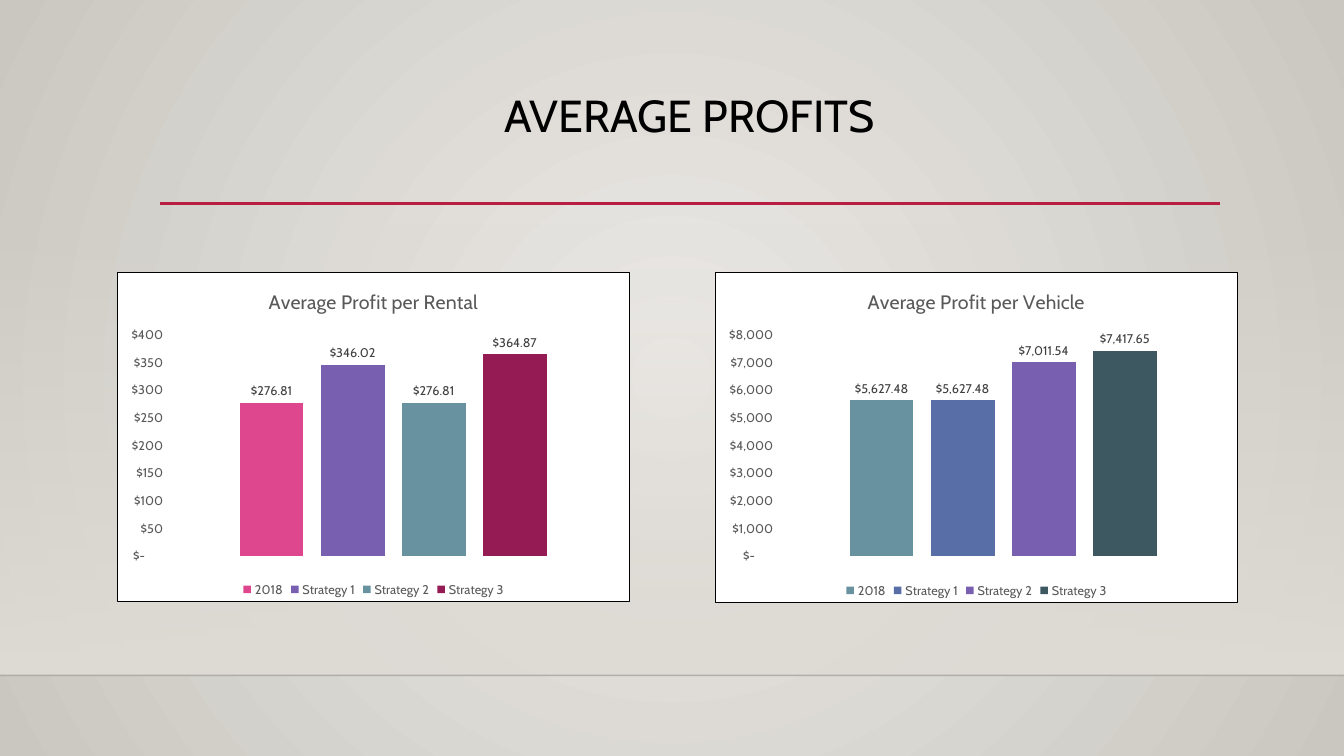
from dataclasses import dataclass

from lxml import etree
from pptx import Presentation
from pptx.chart.chart import Chart
from pptx.chart.data import CategoryChartData
from pptx.dml.color import RGBColor
from pptx.dml.fill import FillFormat
from pptx.enum.chart import XL_CHART_TYPE, XL_LABEL_POSITION, XL_LEGEND_POSITION, XL_TICK_MARK
from pptx.enum.shapes import MSO_CONNECTOR, MSO_SHAPE
from pptx.enum.text import MSO_ANCHOR, MSO_AUTO_SIZE, PP_ALIGN
from pptx.oxml import parse_xml
from pptx.oxml.ns import nsdecls, qn
from pptx.shapes.connector import Connector
from pptx.slide import Slide
from pptx.text.text import Font
from pptx.util import Inches, Pt

COLUMNS = XL_CHART_TYPE.COLUMN_CLUSTERED
OUTSIDE_END = XL_LABEL_POSITION.OUTSIDE_END
LEGEND_BOTTOM = XL_LEGEND_POSITION.BOTTOM
NO_TICK = XL_TICK_MARK.NONE
STRAIGHT = MSO_CONNECTOR.STRAIGHT
RECTANGLE = MSO_SHAPE.RECTANGLE
ANCHOR_TOP = MSO_ANCHOR.TOP
NO_AUTOFIT = MSO_AUTO_SIZE.NONE
CENTER = PP_ALIGN.CENTER

BLACK = RGBColor(0x00, 0x00, 0x00)
FLOOR_LINE = RGBColor(0x00, 0x00, 0x01)
LABEL_GRAY = RGBColor(0x40, 0x40, 0x40)
AXIS_GRAY = RGBColor(0x59, 0x59, 0x59)
BACK_LIGHT = RGBColor(0xEC, 0xEA, 0xE7)
BACK_DARK = RGBColor(0xCA, 0xC7, 0xC1)
WALL = RGBColor(0xDF, 0xDB, 0xD5)
CRIMSON = RGBColor(0xB7, 0x1E, 0x42)
PINK = RGBColor(0xDE, 0x47, 0x8E)
PURPLE = RGBColor(0x79, 0x5F, 0xAF)
TEAL = RGBColor(0x68, 0x92, 0xA0)
BERRY = RGBColor(0x95, 0x1B, 0x54)
BLUE = RGBColor(0x58, 0x6E, 0xA6)
SLATE = RGBColor(0x3D, 0x58, 0x61)

FONT = "Cabin"
SLIDE_WIDTH, SLIDE_HEIGHT = 13.33, 7.5
FLOOR_TOP = 6.7
STRATEGIES = ("2018", "Strategy 1", "Strategy 2", "Strategy 3")
AXIS_FORMAT = r'_("$"* #,##0_);_("$"* \(#,##0\);_("$"* "-"??_);_(@_)'
LABEL_FORMAT = r'_("$"* #,##0.00_);_("$"* \(#,##0.00\);_("$"* "-"??_);_(@_)'


@dataclass
class ProfitChart:
    """One column chart, with lengths in inches."""
    title: str
    left: float
    width: float
    height: float
    plot_left: float
    axis_top: int
    axis_step: int
    profits: tuple[float, ...]
    colors: tuple[RGBColor, ...]


CHARTS = (
    ProfitChart("Average Profit per Rental", 1.16, 5.09, 3.27, 0.52, 400, 50,
                (276.81, 346.02, 276.81, 364.87), (PINK, PURPLE, TEAL, BERRY)),
    ProfitChart("Average Profit per Vehicle", 7.09, 5.19, 3.28, 0.64, 8000, 1000,
                (5627.48, 5627.48, 7011.54, 7417.65), (TEAL, BLUE, PURPLE, SLATE)),
)
CHART_TOP = 2.7
PLOT_TOP, PLOT_WIDTH, PLOT_HEIGHT = 0.62, 4.44, 2.2


def style_font(font: Font, size: float, color: RGBColor) -> None:
    """Set the typeface, size and colour of a font."""
    font.name, font.size, font.bold = FONT, Pt(size), False
    font.color.rgb = color


def set_alpha(element: etree.ElementBase, percent: int) -> None:
    """Give the first plain colour inside an element an opacity."""
    color = next(element.iter(qn("a:srgbClr")))
    etree.SubElement(color, qn("a:alpha")).set("val", str(percent * 1000))


def fill_gradient(fill: FillFormat, first: RGBColor, last: RGBColor) -> None:
    """Fill with a two-colour gradient that runs downwards."""
    fill.gradient()
    fill.gradient_angle = 270
    for stop, color, position in zip(fill.gradient_stops, (first, last), (0, 1)):
        stop.color.rgb = color
        stop.position = position


def add_background(page: Slide) -> None:
    """Paint the circular background and the wall above the floor."""
    fill_gradient(page.background.fill, BACK_LIGHT, BACK_DARK)
    linear = next(page.element.iter(qn("a:lin")))
    circle = parse_xml(f'<a:path {nsdecls("a")} path="circle">'
                       '<a:fillToRect l="50000" t="50000" r="50000" b="50000"/></a:path>')
    linear.getparent().replace(linear, circle)
    wall = page.shapes.add_shape(RECTANGLE, 0, Inches(2.21), Inches(SLIDE_WIDTH),
                                 Inches(FLOOR_TOP - 2.21))
    wall.shadow.inherit = False
    wall.line.fill.background()
    fill_gradient(wall.fill, WALL, WALL)
    set_alpha(wall.element, 0)


def add_rule(page: Slide, left: float, right: float, top: float,
             color: RGBColor, weight: float) -> Connector:
    """Draw a horizontal line."""
    rule = page.shapes.add_connector(STRAIGHT, Inches(left), Inches(top),
                                     Inches(right), Inches(top))
    rule.line.color.rgb = color
    rule.line.width = Pt(weight)
    etree.SubElement(rule.element.spPr, qn("a:effectLst"))
    return rule


def set_title(page: Slide, text: str) -> None:
    """Place and format the slide title."""
    title = page.shapes.title
    title.left, title.top = Inches(1.59), Inches(0.88)
    title.width, title.height = Inches(10.5), Inches(1.15)
    frame = title.text_frame
    frame.text = text
    frame.word_wrap = True
    frame.auto_size = NO_AUTOFIT
    frame.vertical_anchor = ANCHOR_TOP
    para = frame.paragraphs[0]
    para.alignment, para.line_spacing = CENTER, 0.9
    style_font(para.runs[0].font, 32, BLACK)


def frame_chart(chart: Chart, item: ProfitChart) -> None:
    """Add the white bordered chart area and fix the plot position."""
    body = chart.element.find(qn("c:chart"))
    body.addnext(parse_xml(
        f'<c:spPr {nsdecls("c", "a")}><a:solidFill><a:srgbClr val="FFFFFF"/></a:solidFill>'
        f'<a:ln w="{Pt(0.75)}"><a:solidFill><a:srgbClr val="{BLACK}"/></a:solidFill></a:ln></c:spPr>'))
    plot_area = body.find(qn("c:plotArea"))
    for layout in plot_area.findall(qn("c:layout")):
        plot_area.remove(layout)
    shares = {"x": item.plot_left / item.width, "y": PLOT_TOP / item.height,
              "w": PLOT_WIDTH / item.width, "h": PLOT_HEIGHT / item.height}
    modes = '<c:xMode val="edge"/><c:yMode val="edge"/>'
    places = "".join(f'<c:{key} val="{share:.4f}"/>' for key, share in shares.items())
    plot_area.insert(0, parse_xml(
        f'<c:layout {nsdecls("c")}><c:manualLayout><c:layoutTarget val="inner"/>'
        f'{modes}{places}</c:manualLayout></c:layout>'))


def add_profit_chart(page: Slide, item: ProfitChart) -> None:
    """Add one column chart with labels, legend and title."""
    data = CategoryChartData()
    data.categories = ["1"]
    for name, profit in zip(STRATEGIES, item.profits):
        data.add_series(name, [profit])
    chart = page.shapes.add_chart(COLUMNS, Inches(item.left), Inches(CHART_TOP),
                                  Inches(item.width), Inches(item.height), data).chart
    style_font(chart.font, 10, BLACK)
    chart.has_title = True
    title = chart.chart_title.text_frame
    title.text = item.title
    style_font(title.paragraphs[0].runs[0].font, 14, AXIS_GRAY)
    chart.has_legend = True
    chart.legend.position = LEGEND_BOTTOM
    chart.legend.include_in_layout = False
    style_font(chart.legend.font, 9, AXIS_GRAY)

    chart.category_axis.visible = False
    axis = chart.value_axis
    axis.has_major_gridlines = False
    axis.major_tick_mark = axis.minor_tick_mark = NO_TICK
    axis.minimum_scale, axis.maximum_scale = 0, item.axis_top
    axis.major_unit = item.axis_step
    axis.format.line.fill.background()
    axis.tick_labels.number_format = AXIS_FORMAT
    axis.tick_labels.number_format_is_linked = False
    style_font(axis.tick_labels.font, 9, AXIS_GRAY)

    plot = chart.plots[0]
    plot.gap_width, plot.overlap = 219, -27
    plot.vary_by_categories = False
    for series, color in zip(plot.series, item.colors):
        series.format.fill.solid()
        series.format.fill.fore_color.rgb = color
        labels = series.data_labels
        labels.show_value = True
        labels.position = OUTSIDE_END
        labels.number_format = LABEL_FORMAT
        labels.number_format_is_linked = False
        style_font(labels.font, 9, LABEL_GRAY)
    frame_chart(chart, item)


deck = Presentation()
deck.slide_width, deck.slide_height = Inches(SLIDE_WIDTH), Inches(SLIDE_HEIGHT)
page = deck.slides.add_slide(deck.slide_layouts[5])
add_background(page)
floor_line = add_rule(page, 0, SLIDE_WIDTH, FLOOR_TOP, FLOOR_LINE, 1)
set_alpha(floor_line.element, 20)
add_rule(page, 1.59, 12.1, 2.02, CRIMSON, 2.5)
set_title(page, "AVERAGE PROFITS")
for profit_chart in CHARTS:
    add_profit_chart(page, profit_chart)
deck.save("out.pptx")
